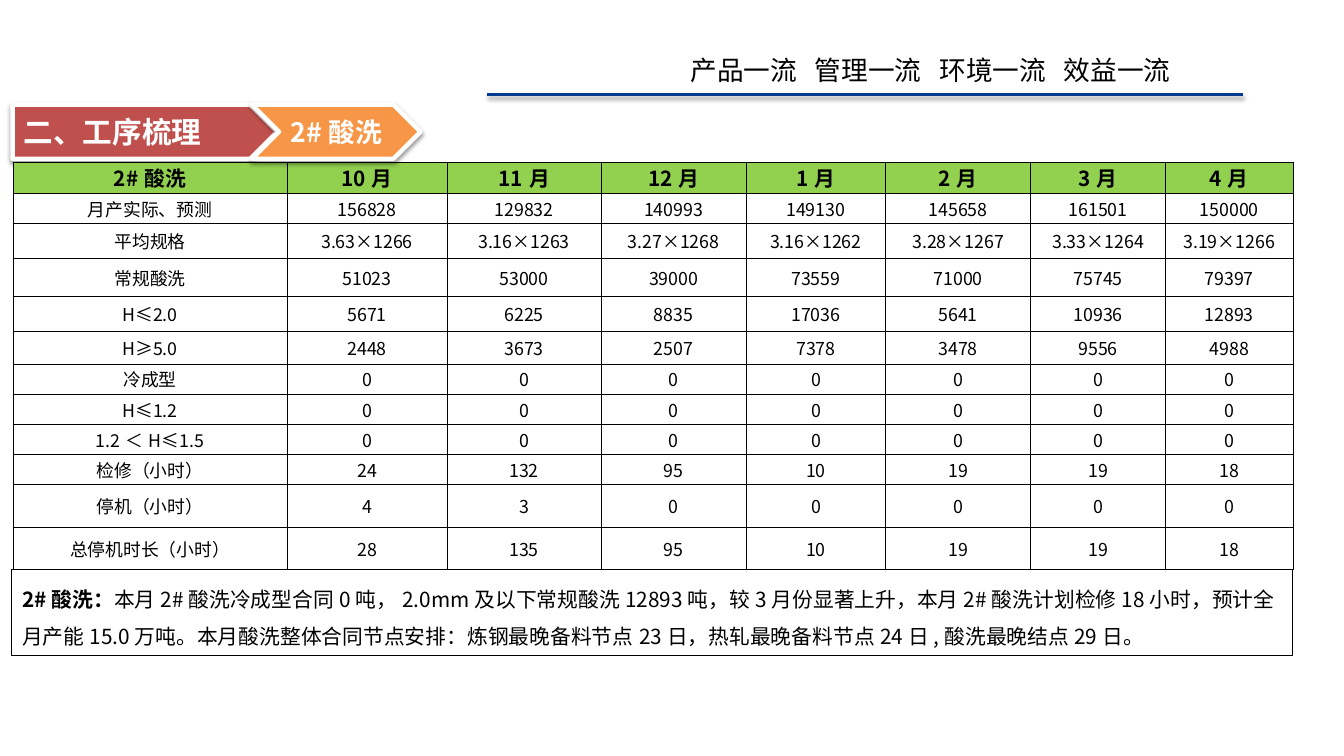
from lxml import etree
from pptx import Presentation
from pptx.dml.color import RGBColor
from pptx.enum import shapes, text
from pptx.oxml import ns
from pptx.util import Pt

FONT = "Noto Sans CJK SC"
COLORS = {
    "black": "000000", "white": "FFFFFF", "rule": "003B90",
    "section": "C0504D", "step": "F79646", "header": "92D050",
}
SLOGANS = ["产品一流", "管理一流", "环境一流", "效益一流"]
SLOGAN_STEP = 84
COL_WIDTHS = [185, 108, 104, 98, 94, 98, 91, 86]
ROW_HEIGHTS = [20.3, 20.3, 23.8, 25.4, 23.7, 22.2, 20.3, 20.6, 20.3, 20.3, 28.6, 29]
NO_ORDERS = [0] * 7
ROWS = [
    ["2#酸洗", "10月", "11月", "12月", "1月", "2月", "3月", "4月"],
    ["月产实际、预测", 156828, 129832, 140993, 149130, 145658, 161501, 150000],
    ["平均规格", "3.63×1266", "3.16×1263", "3.27×1268", "3.16×1262",
     "3.28×1267", "3.33×1264", "3.19×1266"],
    ["常规酸洗", 51023, 53000, 39000, 73559, 71000, 75745, 79397],
    ["H≤2.0", 5671, 6225, 8835, 17036, 5641, 10936, 12893],
    ["H≥5.0", 2448, 3673, 2507, 7378, 3478, 9556, 4988],
    ["冷成型", *NO_ORDERS],
    ["H≤1.2", *NO_ORDERS],
    ["1.2＜H≤1.5", *NO_ORDERS],
    ["检修（小时）", 24, 132, 95, 10, 19, 19, 18],
    ["停机（小时）", 4, 3, 0, 0, 0, 0, 0],
    ["总停机时长（小时）", 28, 135, 95, 10, 19, 19, 18],
]
NOTE = ("本月2#酸洗冷成型合同0吨，2.0mm及以下常规酸洗12893吨，较3月份显著上升，"
        "本月2#酸洗计划检修18小时，预计全月产能15.0万吨。本月酸洗整体合同节点安排："
        "炼钢最晚备料节点23日，热轧最晚备料节点24日,酸洗最晚结点29日。")


def rgb(name):
    return RGBColor.from_string(COLORS[name])


def sub(parent, tag, **attrs):
    return etree.SubElement(parent, ns.qn(tag), {k: str(v) for k, v in attrs.items()})


def add_run(p, content, size, color="black", bold=False):
    r = p.add_run()
    r.text = content
    r.font.name, r.font.size, r.font.bold = FONT, Pt(size), bold
    r.font.color.rgb = rgb(color)
    sub(r.font._element, "a:ea", typeface=FONT)


def add_shadow(sp):
    """Give a shape or connector a soft shadow straight below it."""
    effects = sub(sp._element.spPr, "a:effectLst")
    shadow = sub(effects, "a:outerShdw", blurRad=Pt(3.1), dist=Pt(1.6),
                 dir=90 * 60000, rotWithShape=0)
    black = sub(shadow, "a:srgbClr", val=COLORS["black"])
    sub(black, "a:alpha", val=38000)


def add_slogans(s):
    sp = s.shapes.add_textbox(Pt(459), Pt(33), Pt(415), Pt(29))
    p = sp.text_frame.paragraphs[0]
    tabs = sub(p._p.get_or_add_pPr(), "a:tabLst")
    for i in range(1, len(SLOGANS)):
        sub(tabs, "a:tab", pos=Pt(i * SLOGAN_STEP), algn="l")
    add_run(p, "\t".join(SLOGANS), 18)


def add_rule(s):
    line = s.shapes.add_connector(
        shapes.MSO_CONNECTOR.STRAIGHT, Pt(329), Pt(64), Pt(839), Pt(64))
    line.line.color.rgb = rgb("rule")
    line.line.width = Pt(2)
    add_shadow(line)


def add_banner(s, preset, left, width, color):
    sp = s.shapes.add_shape(preset, Pt(left), Pt(70.6), Pt(width), Pt(36.7))
    sp.fill.solid()
    sp.fill.fore_color.rgb = rgb(color)
    sp.line.color.rgb = rgb("white")
    sp.line.width = Pt(3)
    add_shadow(sp)
    return sp


def set_title(s, banner, content):
    """Lay the title placeholder over its banner."""
    title = s.shapes.title
    title.left, title.top = banner.left, banner.top
    title.width, title.height = banner.width, banner.height
    banner._element.addnext(title._element)
    tf = title.text_frame
    tf.auto_size = text.MSO_AUTO_SIZE.NONE
    tf.vertical_anchor = text.MSO_ANCHOR.MIDDLE
    p = tf.paragraphs[0]
    p.alignment = text.PP_ALIGN.LEFT
    add_run(p, content, 20, "white", True)


def set_borders(cell, top=0.5):
    tcPr = cell._tc.get_or_add_tcPr()
    for side, width in (("L", 0.5), ("R", 0.5), ("T", top), ("B", 0.5)):
        ln = sub(tcPr, f"a:ln{side}", w=Pt(width))
        sub(sub(ln, "a:solidFill"), "a:srgbClr", val=COLORS["black"])


def fill_cell(cell, value, header, top_border):
    cell.margin_left = cell.margin_right = Pt(0.7)
    cell.margin_top, cell.margin_bottom = Pt(0.4), 0
    cell.vertical_anchor = text.MSO_ANCHOR.MIDDLE
    set_borders(cell, top_border)
    if header:
        cell.fill.solid()
        cell.fill.fore_color.rgb = rgb("header")
    else:
        cell.fill.background()
    p = cell.text_frame.paragraphs[0]
    p.alignment = text.PP_ALIGN.CENTER
    add_run(p, str(value), 14 if header else 12, bold=header)


def add_output_table(s):
    table = s.shapes.add_table(
        len(ROWS), len(COL_WIDTHS), Pt(8.8), Pt(109.5),
        Pt(sum(COL_WIDTHS)), Pt(sum(ROW_HEIGHTS))).table
    table.first_row = table.horz_banding = False
    for col, width in zip(table.columns, COL_WIDTHS):
        col.width = Pt(width)
    for i, (values, height) in enumerate(zip(ROWS, ROW_HEIGHTS)):
        table.rows[i].height = Pt(height)
        for j, value in enumerate(values):
            top_border = 1 if value == "12月" else 0.5
            fill_cell(table.cell(i, j), value, i == 0, top_border)


def add_note(s):
    sp = s.shapes.add_shape(
        shapes.MSO_SHAPE.RECTANGLE, Pt(7.9), Pt(384.6), Pt(864.5), Pt(58.3))
    sp.shadow.inherit = False
    sp.fill.background()
    sp.line.color.rgb = rgb("black")
    sp.line.width = Pt(0.75)
    tf = sp.text_frame
    tf.word_wrap = True
    tf.vertical_anchor = text.MSO_ANCHOR.TOP
    p = tf.paragraphs[0]
    p.alignment = text.PP_ALIGN.LEFT
    p.line_spacing = Pt(25)
    add_run(p, "2#酸洗：", 14, bold=True)
    add_run(p, NOTE, 14)


def main():
    prs = Presentation()
    prs.slide_width, prs.slide_height = Pt(907.2), Pt(510.5)
    s = prs.slides.add_slide(prs.slide_layouts[5])
    add_slogans(s)
    add_rule(s)
    section = add_banner(s, shapes.MSO_SHAPE.PENTAGON, 8.6, 178.6, "section")
    set_title(s, section, "二、工序梳理")
    add_output_table(s)
    step = add_banner(s, shapes.MSO_SHAPE.CHEVRON, 170, 113.8, "step")
    step.text_frame.word_wrap = False
    p = step.text_frame.paragraphs[0]
    p.alignment = text.PP_ALIGN.CENTER
    add_run(p, "2#酸洗", 18, "white", True)
    add_note(s)
    prs.save("out.pptx")


if __name__ == "__main__":
    main()
